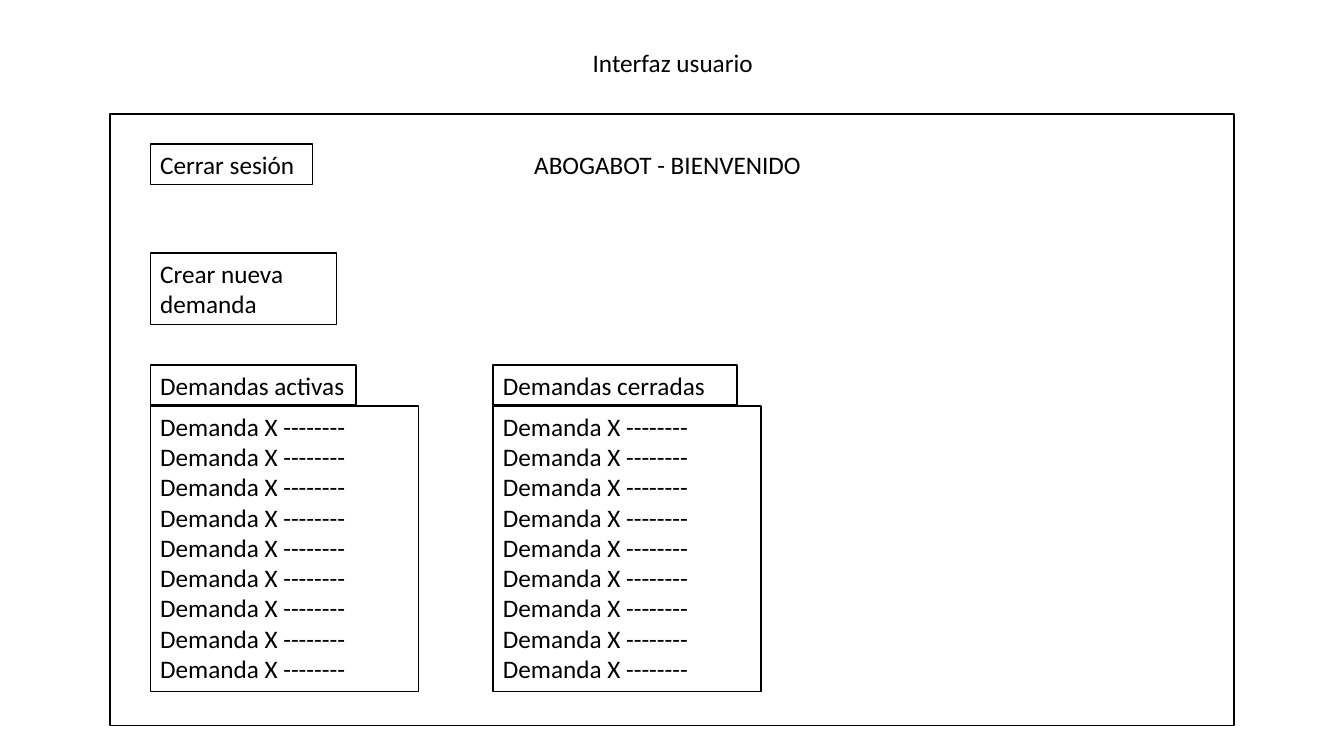
from pptx import Presentation
from pptx.dml.color import RGBColor
from pptx.enum import shapes, text
from pptx.util import Inches, Pt

INK, PAPER = "000000", "FFFFFF"
FONT, SIZE = "Calibri", 18
LEFT, ROW = 1.49, 0.4
FRAME = (1.09, 1.13, 11.15, 6.07)
TITLES = [
    ("Interfaz usuario", (5.78, 0.42, 2.22, ROW)),
    ("ABOGABOT - BIENVENIDO", (5.2, 1.43, 3.65, ROW)),
]
BUTTONS = [
    ("Cerrar sesión", (LEFT, 1.43, 1.61, ROW)),
    ("Crear nueva demanda", (LEFT, 2.51, 1.85, 0.71)),
]
CASE = "Demanda X --------"
CASES = [CASE] * 6 + [f"{CASE} {CASE}", CASE]
# heading, left edge, heading width
LISTS = [("Demandas activas", LEFT, 2.04), ("Demandas cerradas", 4.89, 2.42)]
HEAD_TOP, LIST_TOP, LIST_W, LIST_H = 3.62, 4.03, 2.66, 2.83


def color(code):
    return RGBColor.from_string(code)


def write(shape, lines, font=FONT, size=SIZE, ink=INK):
    frame = shape.text_frame
    frame.word_wrap = True
    frame.vertical_anchor = text.MSO_ANCHOR.TOP
    frame.text = "\n".join(lines)
    for para in frame.paragraphs:
        para.alignment = text.PP_ALIGN.LEFT
        for run in para.runs:
            run.font.name, run.font.size = font, Pt(size)
            run.font.color.rgb = color(ink)


def label(slide, words, area):
    write(slide.shapes.add_textbox(*map(Inches, area)), [words])


def box(slide, area, lines=()):
    """Draw a white box with a thin black border and optional text."""
    shape = slide.shapes.add_shape(shapes.MSO_SHAPE.RECTANGLE, *map(Inches, area))
    shape.shadow.inherit = False
    shape.fill.solid()
    shape.fill.fore_color.rgb = color(PAPER)
    shape.line.color.rgb = color(INK)
    shape.line.width = Pt(1)
    if lines:
        write(shape, lines)


def main():
    deck = Presentation()
    deck.slide_width, deck.slide_height = Inches(13.33), Inches(7.5)
    slide = deck.slides.add_slide(deck.slide_layouts[6])
    box(slide, FRAME)
    for words, area in TITLES:
        label(slide, words, area)
    for words, area in BUTTONS:
        box(slide, area, [words])
    for head, left, width in LISTS:
        box(slide, (left, HEAD_TOP, width, ROW), [head])
        box(slide, (left, LIST_TOP, LIST_W, LIST_H), CASES)
    deck.save("out.pptx")


if __name__ == "__main__":
    main()
